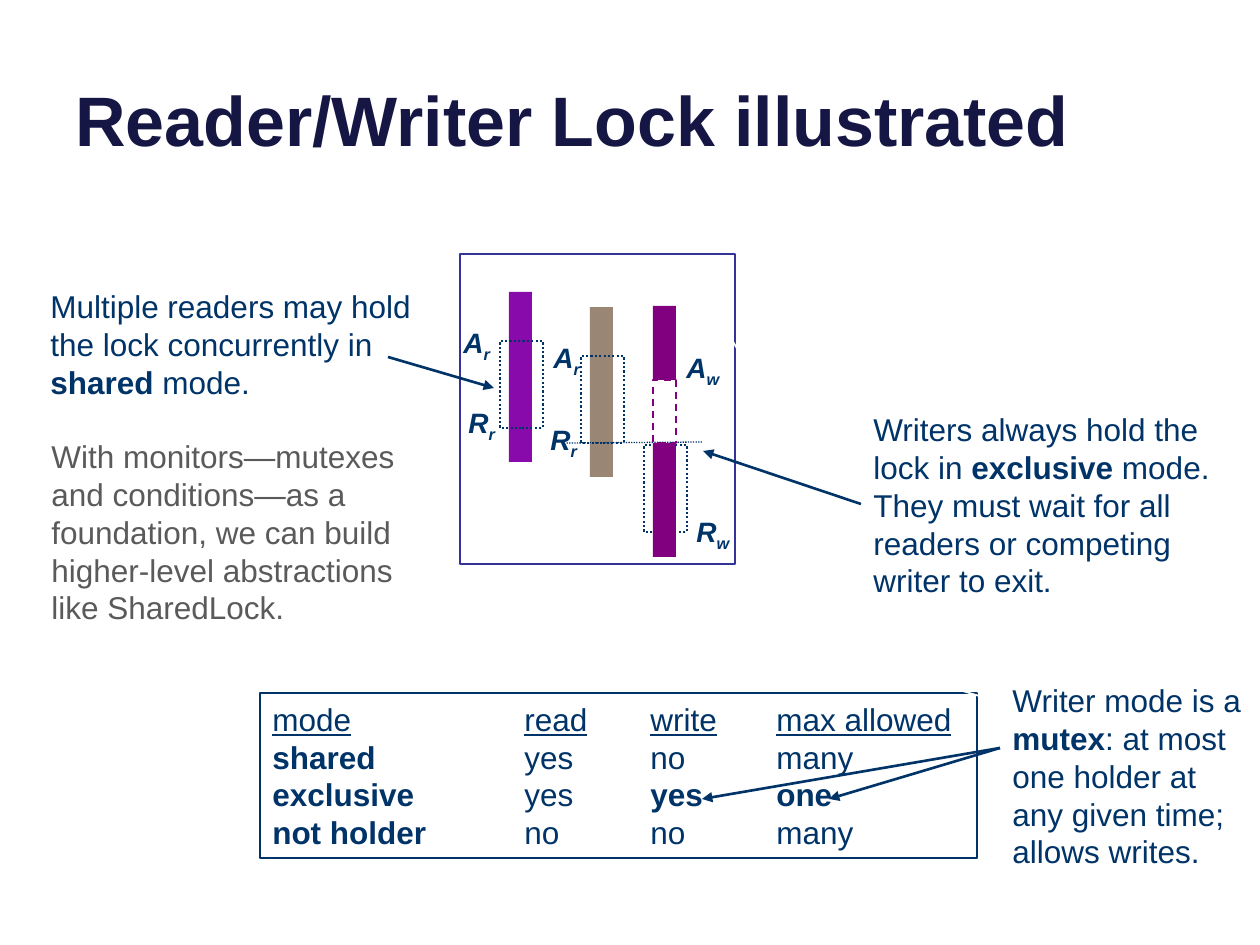
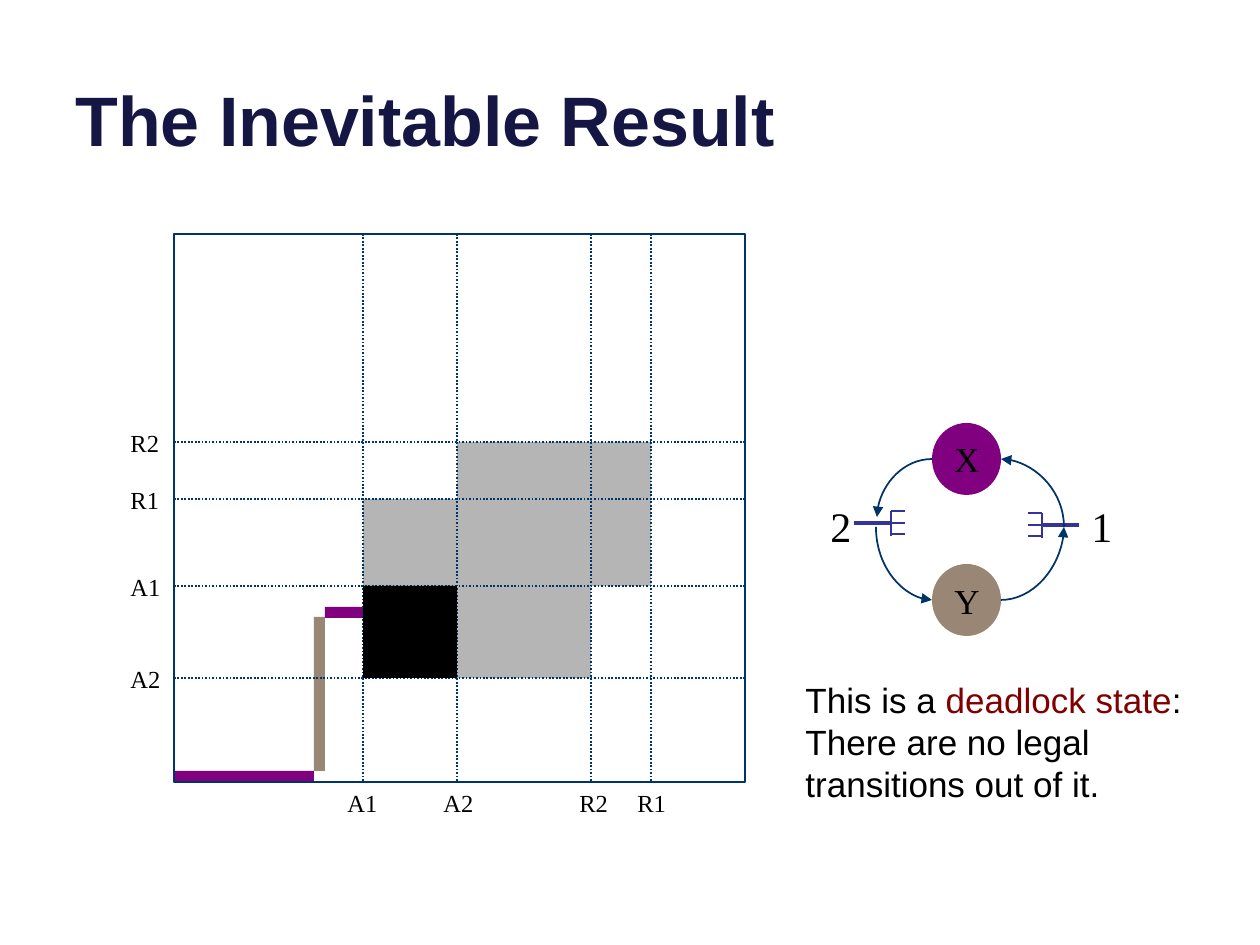
from lxml import etree
from pptx import Presentation
from pptx.dml.color import RGBColor
from pptx.enum.dml import MSO_LINE
from pptx.enum.shapes import MSO_CONNECTOR, MSO_SHAPE
from pptx.enum.text import MSO_ANCHOR, PP_ALIGN
from pptx.oxml.ns import qn
from pptx.util import Pt

RECTANGLE, OVAL = MSO_SHAPE.RECTANGLE, MSO_SHAPE.OVAL
CALLOUT = MSO_SHAPE.LINE_CALLOUT_2
STRAIGHT, CURVE = MSO_CONNECTOR.STRAIGHT, MSO_CONNECTOR.CURVE
DOTTED, DASHED = MSO_LINE.ROUND_DOT, MSO_LINE.DASH
TOP, MIDDLE, BOTTOM = MSO_ANCHOR.TOP, MSO_ANCHOR.MIDDLE, MSO_ANCHOR.BOTTOM
LEFT, CENTER = PP_ALIGN.LEFT, PP_ALIGN.CENTER

PX = 914400 / 126
SANS, SERIF = "Arial", "Times New Roman"
COLORS = {
    "title": "161645", "navy": "003367", "indigo": "333399", "white": "FFFFFF",
    "black": "000000", "gray": "5A5A5A", "light": "B5B5B5", "tan": "998674",
    "purple": "800080", "violet": "880AAA", "maroon": "800000",
}
BOLD = {"bold": True}
UNDERLINE = {"underline": True}
TITLE_BOX = (63, -47, 1134, 214)

LOCK_FRAME = (460, 254, 275, 310)
READERS = [(590, 307, "tan"), (509, 292, "violet")]
BAR_WIDTH, READER_HEIGHT = 23, 170
HOLD_WIDTH, HOLD_HEIGHT = 43, 87
WRITER_LEFT, WRITER_TOP, WAIT_TOP, WRITE_TOP, WRITER_BOTTOM = 653, 306, 380, 443, 557
EVENTS = [
    ("A", "r", 451, 319), ("A", "r", 541, 334), ("R", "r", 456, 399),
    ("R", "r", 538, 416), ("R", "w", 684, 508), ("A", "w", 674, 344),
]
LEADER = (0.12, -0.037, 0.046, -0.227, -0.415, -0.372)
NOTES = [
    ((38, 281, 406, 127), "navy", "white", None, (0.154, 1.037, 0.154, 1.165, 0.895, 1.342),
     [["Multiple readers may hold"],
      ["the lock concurrently in ", ("shared", BOLD), " mode."]]),
    ((861, 404, 379, 204), "navy", "white", "white", LEADER,
     [["Writers always hold the lock in ", ("exclusive", BOLD),
       " mode. They must wait for all readers or competing writer to exit."]]),
    ((1000, 675, 260, 204), "navy", None, "white", LEADER,
     [["Writer mode is a ", ("mutex", BOLD),
       ": at most one holder at any given time; allows writes."]]),
    ((39, 431, 398, 204), "gray", None, "white", LEADER,
     [["With monitors—mutexes and conditions—as a foundation, we can build "
       "higher-level abstractions like SharedLock."]]),
]
MODES_BOX = (260, 693, 717, 165)
MODES_TABS = (252, 378, 504)
MODES = [
    [("mode\tread\twrite\tmax allowed", UNDERLINE)],
    [("shared", BOLD), "\tyes\tno\tmany"],
    [("exclusive", BOLD), "\tyes\t", ("yes\tone", BOLD)],
    [("not holder", BOLD), "\tno\tno\tmany"],
]
NOTE_ARROWS = [
    ((388, 357), (494, 388)), ((861, 504), (703, 451)),
    ((1000, 748), (829, 799)), ((1000, 748), (702, 799)),
]

PLOT = (174, 234, 571, 548)
COLUMNS = {"A1": (363, 335), "A2": (457, 431), "R2": (591, 567), "R1": (651, 625)}
ROWS = {"A2": 678, "A1": 586, "R1": 499, "R2": 442}
CONFLICTS = [
    ("A1", "A2", "R1", "A1"), ("A2", "R1", "R1", "A1"),
    ("A2", "R2", "A1", "A2"), ("A2", "R1", "R2", "R1"),
]
DEADLOCK = ("A1", "A2", "A1", "A2")
TRACE = [((314, 617, 11, 154), "tan"), ((325, 607, 65, 11), "purple"),
         ((174, 771, 140, 11), "purple")]
NODES = {"Y": (564, "tan"), "X": (423, "purple")}
NODE_LEFT, NODE_WIDTH, NODE_HEIGHT = 932, 69, 72
OVAL_LEFT, OVAL_RIGHT = 2, 6
REQUESTS = [
    ("Y", OVAL_RIGHT, (1064, 527), "tailEnd"), ("X", OVAL_RIGHT, (1064, 527), "headEnd"),
    ("X", OVAL_LEFT, (877, 517), "tailEnd"), ("Y", OVAL_LEFT, (876, 527), "headEnd"),
]
FORKS = [("2", 818, 891, 523, 1), ("1", 1079, 1042, 525, -1)]
VERDICT = [
    ["This is a ", ("deadlock state", {"color": "maroon"}), ":"],
    ["There are no legal transitions out of it."],
]


def emu(*lengths):
    return [round(length * PX) for length in lengths]


def rgb(name):
    return RGBColor.from_string(COLORS[name])


def write_text(shape, paragraphs, size=18, font=SANS, color="navy", bold=False, italic=False,
               underline=False, anchor=TOP, align=LEFT, wrap=True, tabs=()):
    frame = shape.text_frame
    frame.word_wrap = wrap
    frame.vertical_anchor = anchor
    for index, runs in enumerate(paragraphs):
        paragraph = frame.add_paragraph() if index else frame.paragraphs[0]
        paragraph.alignment = align
        if tabs:
            tab_list = etree.SubElement(paragraph._p.get_or_add_pPr(), qn("a:tabLst"))
            for position in emu(*tabs):
                etree.SubElement(tab_list, qn("a:tab"), pos=str(position), algn="l")
        for item in runs:
            text, changes = (item, {}) if isinstance(item, str) else item
            style = {"color": color, "bold": bold, "underline": underline, **changes}
            run = paragraph.add_run()
            run.text = text
            run.font.size, run.font.name = Pt(size), font
            run.font.bold, run.font.italic = style["bold"], italic
            run.font.underline = style["underline"]
            run.font.color.rgb = rgb(style["color"])
            if "baseline" in style:
                run.font._element.set("baseline", str(style["baseline"]))


def add_text(slide, box, paragraphs, **text_format):
    shape = slide.shapes.add_textbox(*emu(*box))
    write_text(shape, paragraphs, **text_format)


def set_line(line, color, width, dash=None):
    line.color.rgb = rgb(color)
    line.width = Pt(width)
    if dash:
        line.dash_style = dash


def add_box(slide, box, fill=None, line=None, width=1, dash=None, kind=RECTANGLE):
    shape = slide.shapes.add_shape(kind, *emu(*box))
    shape.shadow.inherit = False
    if fill:
        shape.fill.solid()
        shape.fill.fore_color.rgb = rgb(fill)
    else:
        shape.fill.background()
    if line:
        set_line(shape.line, line, width, dash)
    else:
        shape.line.fill.background()
    return shape


def add_line(slide, start, end, color="navy", width=1, dash=None, arrow=None, kind=STRAIGHT):
    connector = slide.shapes.add_connector(kind, *emu(*start, *end))
    set_line(connector.line, color, width, dash)
    if arrow:
        etree.SubElement(connector.line._get_or_add_ln(), qn(f"a:{arrow}"), type="triangle")
    etree.SubElement(connector._element.spPr, qn("a:effectLst"))
    return connector


def add_request(slide, node, site, end, arrow):
    x = NODE_LEFT + (NODE_WIDTH if site == OVAL_RIGHT else 0)
    y = NODES[node.text_frame.text][0] + NODE_HEIGHT / 2
    connector = add_line(slide, (x, y), end, arrow=arrow, kind=CURVE)
    element = connector._element
    element.spPr.find(qn("a:prstGeom")).set("prst", "curvedConnector2")
    properties = element.find(f"{qn('p:nvCxnSpPr')}/{qn('p:cNvCxnSpPr')}")
    etree.SubElement(properties, qn("a:stCxn"), id=str(node.shape_id), idx=str(site))


def add_fork(slide, label, label_left, spine, y, side):
    add_text(slide, (label_left, 494, 47, 64), [[label]], size=24, font=SERIF,
             color="black", wrap=False)
    add_line(slide, (spine, y), (spine - 37 * side, y), "indigo", 1.75)
    add_line(slide, (spine, y - 12), (spine, y + 13), "indigo")
    for offset in (-12, 0, 11):
        add_line(slide, (spine + 14 * side, y + offset), (spine, y + offset), "indigo")


def add_region(slide, left, right, top, bottom, fill):
    x, y = COLUMNS[left][0], ROWS[top]
    add_box(slide, (x, y, COLUMNS[right][0] - x, ROWS[bottom] - y), fill)


def add_hold(slide, bar_left, top):
    add_box(slide, (bar_left - 9, top, HOLD_WIDTH, HOLD_HEIGHT), None, "navy", 1.25, DOTTED)


def add_slide(presentation, title):
    slide = presentation.slides.add_slide(presentation.slide_layouts[6])
    add_text(slide, TITLE_BOX, [[title]], size=40, color="title", bold=True, anchor=BOTTOM)
    return slide


def build_lock_slide(presentation):
    slide = add_slide(presentation, "Reader/Writer Lock illustrated")
    add_box(slide, LOCK_FRAME, "white", "indigo")
    for left, top, color in READERS:
        add_box(slide, (left, top, BAR_WIDTH, READER_HEIGHT), color)
        add_hold(slide, left, top + 49)
    add_line(slide, (702, 442), (566, 443), width=0.75, dash=DOTTED)
    add_box(slide, (WRITER_LEFT, WRITER_TOP, BAR_WIDTH, WAIT_TOP - WRITER_TOP), "purple")
    add_hold(slide, WRITER_LEFT, WRITE_TOP + 2)
    add_box(slide, (WRITER_LEFT, WRITE_TOP, BAR_WIDTH, WRITER_BOTTOM - WRITE_TOP), "purple")
    add_box(slide, (WRITER_LEFT, WAIT_TOP, BAR_WIDTH, WRITE_TOP - WAIT_TOP),
            None, "purple", 1, DASHED)
    modes = add_box(slide, MODES_BOX, None, "navy")
    write_text(modes, MODES, anchor=MIDDLE, tabs=MODES_TABS)
    for box, color, fill, line, leader, paragraphs in NOTES:
        note = add_box(slide, box, fill, line, kind=CALLOUT)
        for index, value in enumerate(leader):
            note.adjustments[index] = value
        write_text(note, paragraphs, color=color)
    for action, role, left, top in EVENTS:
        add_text(slide, (left, top, 66 if role == "w" else 57, 47),
                 [[action, (role, {"baseline": -25000})]], size=16, bold=True, italic=True)
    for start, end in NOTE_ARROWS:
        add_line(slide, start, end, width=1.5, arrow="tailEnd")


def build_deadlock_slide(presentation):
    slide = add_slide(presentation, "The Inevitable Result")
    left, top, width, height = PLOT
    right, bottom = left + width, top + height
    for region in CONFLICTS:
        add_region(slide, *region, "light")
    for box, color in TRACE:
        add_box(slide, box, color)
    add_box(slide, PLOT, None, "navy")
    nodes = {}
    for name, (node_top, color) in NODES.items():
        nodes[name] = add_box(slide, (NODE_LEFT, node_top, NODE_WIDTH, NODE_HEIGHT),
                              color, kind=OVAL)
        write_text(nodes[name], [[name]], size=20, font=SERIF, color="black",
                   anchor=MIDDLE, align=CENTER)
    for fork in FORKS:
        add_fork(slide, *fork)
    for name, site, end, arrow in REQUESTS:
        add_request(slide, nodes[name], site, end, arrow)
    axis_text = {"size": 14, "font": SERIF, "color": "black", "wrap": False}
    for name, (x, label_left) in COLUMNS.items():
        add_line(slide, (x, top), (x, bottom), dash=DOTTED)
        add_text(slide, (label_left, bottom, 55, 42), [[name]], **axis_text)
    for name, y in ROWS.items():
        add_line(slide, (left, y), (right, y), dash=DOTTED)
        add_text(slide, (118, y - 20, 55, 42), [[name]], **axis_text)
    add_region(slide, *DEADLOCK, "black")
    add_text(slide, (793, 672, 436, 140), VERDICT, size=20, color="black")


def main():
    presentation = Presentation()
    presentation.slide_width, presentation.slide_height = emu(1260, 945)
    build_lock_slide(presentation)
    build_deadlock_slide(presentation)
    presentation.save("out.pptx")


if __name__ == "__main__":
    main()
